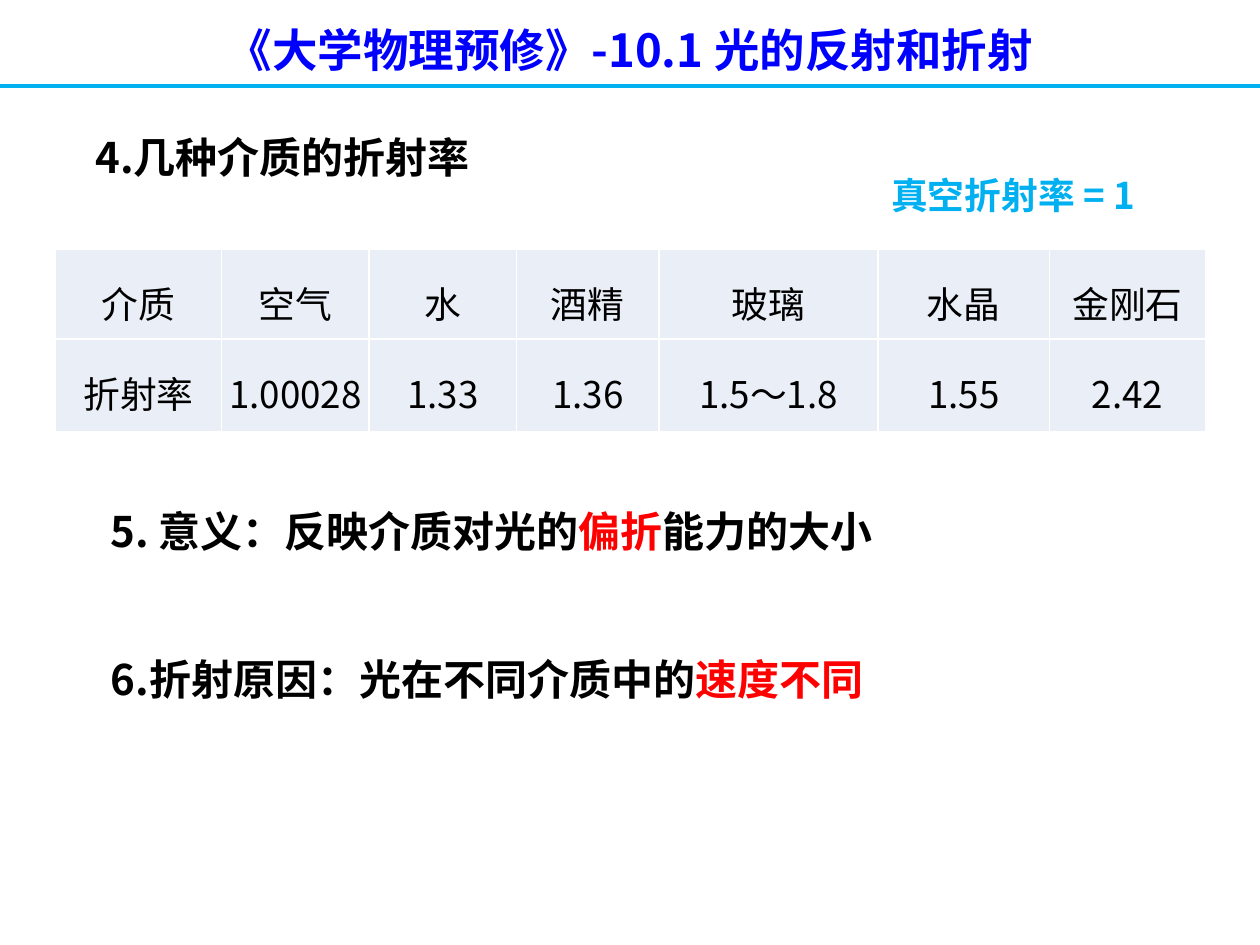
from pptx import Presentation
from pptx.dml.color import RGBColor
from pptx.enum.shapes import MSO_CONNECTOR
from pptx.enum.text import MSO_ANCHOR, PP_ALIGN
from pptx.oxml.ns import qn
from pptx.util import Inches, Pt
from lxml.etree import SubElement

FONT = "Noto Sans CJK SC"
BLACK, RED, BLUE, CYAN = "000000", "FF0000", "0000FF", "00B0F0"


def rgb(code):
    """Turn a hex string into a colour."""
    return RGBColor.from_string(code)


def write(tf, runs, size, bold=True, align=PP_ALIGN.LEFT, spacing=1.0):
    """Fill a text frame with one paragraph of (text, colour) runs."""
    tf.word_wrap = True
    p = tf.paragraphs[0]
    p.alignment, p.line_spacing = align, spacing
    for text, color in runs:
        r = p.add_run()
        r.text = text
        r.font.name, r.font.size, r.font.bold = FONT, Pt(size), bold
        r.font.color.rgb = rgb(color)
        SubElement(r.font._element, qn("a:ea"), typeface=FONT)


prs = Presentation()
prs.slide_width, prs.slide_height = Inches(10), Inches(7.5)
s = prs.slides.add_slide(prs.slide_layouts[5])

# Header
title = s.shapes.title
title.left, title.top = Inches(1.25), Inches(0.12)
title.width, title.height = Inches(7.5), Inches(0.54)
title.text_frame.vertical_anchor = MSO_ANCHOR.MIDDLE
write(title.text_frame, [("《大学物理预修》-10.1 光的反射和折射", BLUE)], 26,
      align=PP_ALIGN.CENTER)

rule = s.shapes.add_connector(MSO_CONNECTOR.STRAIGHT, 0, Inches(0.68),
                              Inches(10), Inches(0.68))
rule.line.color.rgb = rgb(CYAN)
rule.line.width = Pt(2.25)
SubElement(rule._element.spPr, qn("a:effectLst"))

# Numbered points and the vacuum note
texts = [
    ((0.66, 0.99, 3.6, 0.5), [("4.几种介质的折射率", BLACK)],
     24, PP_ALIGN.LEFT, 1.0),
    ((6.67, 1.32, 2.74, 0.45), [("真空折射率 = 1", CYAN)],
     21, PP_ALIGN.CENTER, 1.0),
    ((0.78, 3.76, 7.24, 0.71),
     [("5. 意义：反映介质对光的", BLACK), ("偏折", RED), ("能力的大小", BLACK)],
     24, PP_ALIGN.LEFT, 1.5),
    ((0.78, 4.93, 6.56, 0.71),
     [("6.折射原因：光在不同介质中的", BLACK), ("速度不同", RED)],
     24, PP_ALIGN.LEFT, 1.5),
]
for box, runs, size, align, spacing in texts:
    tf = s.shapes.add_textbox(*map(Inches, box)).text_frame
    tf.vertical_anchor = MSO_ANCHOR.MIDDLE
    write(tf, runs, size, align=align, spacing=spacing)

# Refractive indices
rows = [
    ["介质", "空气", "水", "酒精", "玻璃", "水晶", "金刚石"],
    ["折射率", "1.00028", "1.33", "1.36", "1.5～1.8", "1.55", "2.42"],
]
widths = [1.32, 1.17, 1.17, 1.13, 1.74, 1.36, 1.24]
heights = [0.71, 0.74]
table = s.shapes.add_table(len(rows), len(widths), Inches(0.44), Inches(1.98),
                           Inches(sum(widths)), Inches(sum(heights))).table
for column, width in zip(table.columns, widths):
    column.width = Inches(width)
for i, (row, height) in enumerate(zip(rows, heights)):
    table.rows[i].height = Inches(height)
    for j, text in enumerate(row):
        cell = table.cell(i, j)
        write(cell.text_frame, [(text, BLACK)], 21, bold=False,
              align=PP_ALIGN.CENTER, spacing=1.5)
        cell.vertical_anchor = MSO_ANCHOR.TOP
        cell.margin_left = cell.margin_right = Inches(0.03)
        cell.margin_top = cell.margin_bottom = 0
        tcPr = cell._tc.get_or_add_tcPr()
        for side in ("lnL", "lnR", "lnT", "lnB"):
            ln = SubElement(tcPr, qn(f"a:{side}"), w=str(Pt(1)))
            SubElement(SubElement(ln, qn("a:solidFill")), qn("a:srgbClr"),
                       val="FFFFFF")
        cell.fill.solid()
        cell.fill.fore_color.rgb = rgb("EAEFF7")

prs.save("out.pptx")
